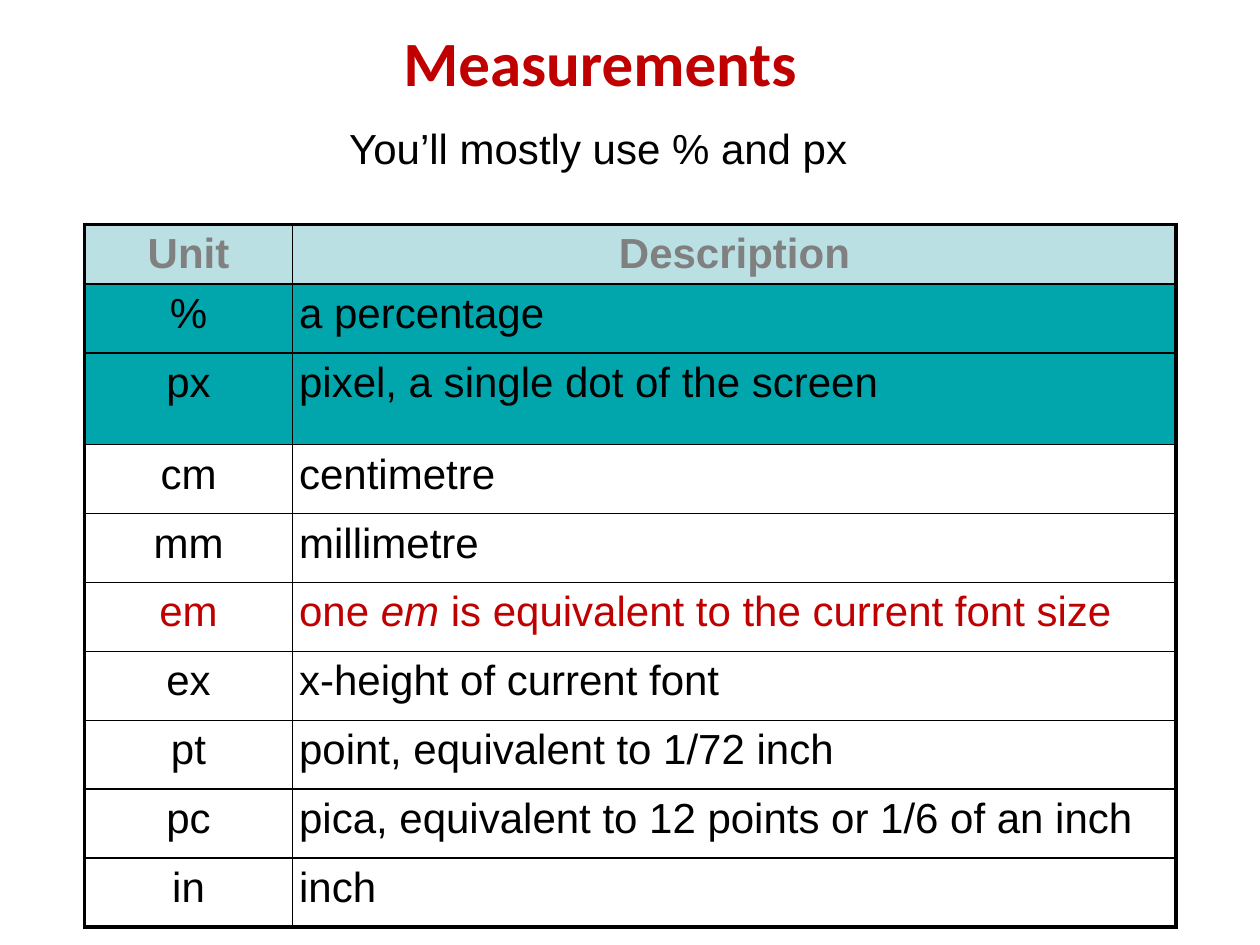
from dataclasses import dataclass

from lxml.etree import SubElement
from pptx import Presentation
from pptx.dml.color import RGBColor
from pptx.enum.text import MSO_ANCHOR, MSO_AUTO_SIZE, PP_ALIGN
from pptx.oxml import parse_xml
from pptx.oxml.ns import nsdecls, qn
from pptx.util import Cm, Pt


@dataclass(frozen=True)
class Theme:
    title_font: str = "Calibri"
    body_font: str = "Arial"
    title_size: int = 36
    body_size: int = 24
    accent: str = "C00000"
    text: str = "000000"
    header_text: str = "808080"
    header_fill: str = "BBE0E3"
    highlight_fill: str = "00A6AC"
    border: str = "000000"
    outer_border: float = 2.25
    inner_border: float = 1


THEME = Theme()
INSET = Cm(0.13)
COLUMN_WIDTHS = [4.2, 17.81]
HEADER_HEIGHT, ROW_HEIGHT, PIXEL_ROW_HEIGHT = 0.91, 1.39, 1.85
HEADER = ("Unit", ["Description"])
UNITS = [
    ("%", ["a percentage"]),
    ("px", ["pixel, a single dot of the screen"]),
    ("cm", ["centimetre"]),
    ("mm", ["millimetre"]),
    ("em", ["one ", "em", " is equivalent to the current font size"]),
    ("ex", ["x-height of current font"]),
    ("pt", ["point, equivalent to 1/72 inch"]),
    ("pc", ["pica, equivalent to 12 points or 1/6 of an inch"]),
    ("in", ["inch"]),
]
HIGHLIGHTED_UNITS = {"%", "px"}


def format_run(run, font_name, size, color, bold=False):
    run.font.name = font_name
    run.font.size = Pt(size)
    run.font.color.rgb = RGBColor.from_string(color)
    run.font.bold = bold


def place(shape, left, top, width, height):
    shape.left, shape.top = Cm(left), Cm(top)
    shape.width, shape.height = Cm(width), Cm(height)


def set_insets(target):
    target.margin_left = target.margin_right = INSET
    target.margin_top = target.margin_bottom = INSET


def add_title(slide, text):
    title = slide.shapes.title
    place(title, 1.3, 0.33, 21.59, 1.8)
    title.text_frame.text = text
    title.text_frame.vertical_anchor = MSO_ANCHOR.MIDDLE
    paragraph = title.text_frame.paragraphs[0]
    paragraph.alignment = PP_ALIGN.CENTER
    format_run(paragraph.runs[0], THEME.title_font, THEME.title_size, THEME.accent, True)


def add_hint(slide, text):
    hint = slide.shapes.add_textbox(Cm(6.91), Cm(2.34), Cm(10.34), Cm(1.22))
    frame = hint.text_frame
    frame.text = text
    frame.word_wrap = False
    frame.auto_size = MSO_AUTO_SIZE.SHAPE_TO_FIT_TEXT
    set_insets(frame)
    format_run(frame.paragraphs[0].runs[0], THEME.body_font, THEME.body_size, THEME.text)


def set_borders(cell, outer_sides):
    properties = cell._tc.get_or_add_tcPr()
    for index, side in enumerate("LRTB"):
        width = THEME.outer_border if side in outer_sides else THEME.inner_border
        line = parse_xml(f'<a:ln{side} {nsdecls("a")} w="{Pt(width)}"/>')
        fill = SubElement(line, qn("a:solidFill"))
        SubElement(fill, qn("a:srgbClr"), val=THEME.border)
        properties.insert(index, line)


def fill_cell(cell, parts, color, fill, centered, bold):
    set_insets(cell)
    paragraph = cell.text_frame.paragraphs[0]
    paragraph.alignment = PP_ALIGN.CENTER if centered else PP_ALIGN.LEFT
    paragraph.space_before = Pt(5)
    for part in parts:
        run = paragraph.add_run()
        run.text = part
        format_run(run, THEME.body_font, THEME.body_size, color, bold)
        run.font.italic = len(parts) > 1 and part == "em"
    if fill:
        cell.fill.solid()
        cell.fill.fore_color.rgb = RGBColor.from_string(fill)
    else:
        cell.fill.background()


def row_style(unit, is_header):
    if is_header:
        return THEME.header_text, THEME.header_fill
    color = THEME.accent if unit == "em" else THEME.text
    return color, THEME.highlight_fill if unit in HIGHLIGHTED_UNITS else None


def add_unit_table(slide):
    rows = [HEADER, *UNITS]
    heights = [HEADER_HEIGHT] + [
        PIXEL_ROW_HEIGHT if unit == "px" else ROW_HEIGHT for unit, _ in UNITS
    ]
    table = slide.shapes.add_table(
        len(rows), len(COLUMN_WIDTHS), Cm(1.7), Cm(4.52), Cm(sum(COLUMN_WIDTHS)), Cm(sum(heights))
    ).table
    table.first_row = table.horz_banding = False
    for column, width in zip(table.columns, COLUMN_WIDTHS):
        column.width = Cm(width)
    for index, (unit, description) in enumerate(rows):
        table.rows[index].height = Cm(heights[index])
        is_header = index == 0
        color, fill = row_style(unit, is_header)
        edge = "T" if is_header else "B" if index == len(rows) - 1 else ""
        for column, parts in enumerate(([unit], description)):
            cell = table.cell(index, column)
            fill_cell(cell, parts, color, fill, is_header or column == 0, is_header)
            set_borders(cell, edge + "LR"[column])


def main():
    presentation = Presentation()
    presentation.slide_width, presentation.slide_height = Cm(25.4), Cm(19.05)
    slide = presentation.slides.add_slide(presentation.slide_layouts[5])
    add_title(slide, "Measurements")
    add_unit_table(slide)
    add_hint(slide, "You’ll mostly use % and px")
    presentation.save("out.pptx")


if __name__ == "__main__":
    main()
